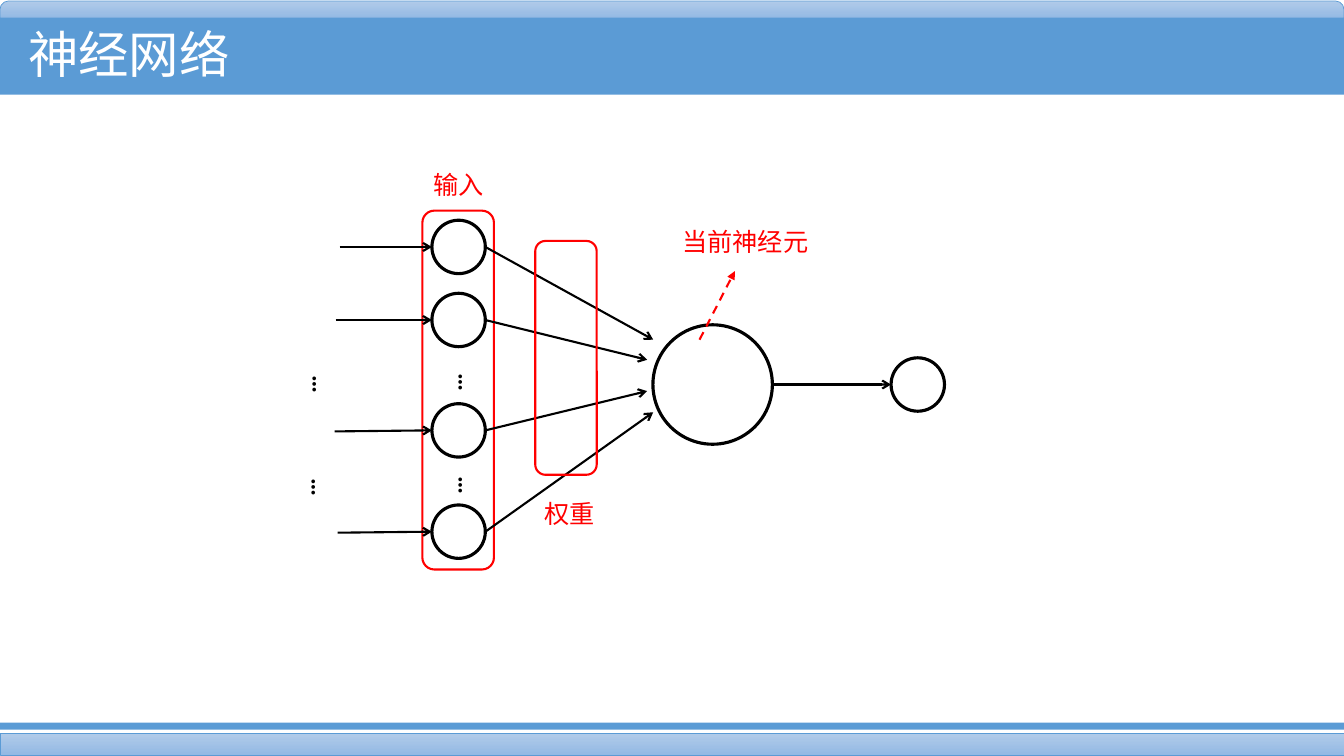
from dataclasses import dataclass

from lxml import etree
from pptx import Presentation, util as u
from pptx.dml.color import RGBColor
from pptx.enum import dml, shapes, text
from pptx.oxml.ns import qn

CELL = 0.1  # inches per grid column and row
COLS, ROWS = 133.33, 75


@dataclass(frozen=True)
class Theme:
    blue: str = "5B9BD5"
    pale_top: str = "B1CBE9"
    pale_bottom: str = "93B9E4"
    white: str = "FFFFFF"
    ink: str = "000000"
    accent: str = "FF0000"
    cjk: str = "Noto Sans CJK SC"
    latin: str = "Calibri"
    title_size: float = 36
    label_size: float = 18
    hairline: float = 0.5
    stroke: float = 1.5
    outline: float = 2.25


@dataclass(frozen=True)
class Box:
    col: float
    row: float
    cols: float
    rows: float


@dataclass(frozen=True)
class Arrow:
    start: tuple[float, float]
    end: tuple[float, float]
    dashed: bool = False


@dataclass(frozen=True)
class Label:
    words: str
    box: Box
    color: str
    font: str = Theme.cjk
    size: float = Theme.label_size
    wrap: bool = True
    vertical: bool = False


THEME = Theme()


def grid(cells: float) -> u.Length:
    return u.Inches(cells * CELL)


def rgb(code: str) -> RGBColor:
    return RGBColor.from_string(code)


def draw_shape(slide, kind, box: Box, fill: str | None = None,
               line: str | None = None, width: float = THEME.stroke):
    shape = slide.shapes.add_shape(
        kind, grid(box.col), grid(box.row), grid(box.cols), grid(box.rows))
    shape.shadow.inherit = False
    if fill:
        shape.fill.solid()
        shape.fill.fore_color.rgb = rgb(fill)
    else:
        shape.fill.background()
    if line:
        shape.line.color.rgb = rgb(line)
        shape.line.width = u.Pt(width)
    else:
        shape.line.fill.background()
    return shape


def draw_pale_band(slide, kind, box: Box):
    band = draw_shape(slide, kind, box, line=THEME.blue, width=THEME.hairline)
    band.fill.gradient()
    band.fill.gradient_angle = 270
    for stop, color in zip(band.fill.gradient_stops, (THEME.pale_top, THEME.pale_bottom)):
        stop.color.rgb = rgb(color)
    return band


def draw_neuron(slide, col: float, row: float, size: float) -> None:
    """Draw a neuron around its centre."""
    box = Box(col - size / 2, row - size / 2, size, size)
    draw_shape(slide, shapes.MSO_SHAPE.OVAL, box, THEME.white, THEME.ink, THEME.outline)


def draw_arrow(slide, arrow: Arrow) -> None:
    link = slide.shapes.add_connector(
        shapes.MSO_CONNECTOR.STRAIGHT, *map(grid, arrow.start + arrow.end))
    link.line.color.rgb = rgb(THEME.accent if arrow.dashed else THEME.ink)
    link.line.width = u.Pt(THEME.stroke)
    if arrow.dashed:
        link.line.dash_style = dml.MSO_LINE.DASH
    properties = link._element.spPr
    head = etree.SubElement(properties.find(qn("a:ln")), qn("a:tailEnd"))
    head.set("type", "triangle" if arrow.dashed else "arrow")
    etree.SubElement(properties, qn("a:effectLst"))


def draw_label(slide, label: Label) -> None:
    box = label.box
    frame = slide.shapes.add_textbox(
        grid(box.col), grid(box.row), grid(box.cols), grid(box.rows)).text_frame
    frame.word_wrap = label.wrap
    frame.auto_size = text.MSO_AUTO_SIZE.SHAPE_TO_FIT_TEXT
    if label.vertical:
        frame._txBody.bodyPr.set("vert", "eaVert")
    paragraph = frame.paragraphs[0]
    paragraph.text = label.words
    font = paragraph.font
    font.size = u.Pt(label.size)
    font.bold = label.vertical
    font.color.rgb = rgb(label.color)
    font.name = label.font
    # East Asian text takes its own typeface
    defaults = paragraph._p.pPr.find(qn("a:defRPr"))
    etree.SubElement(defaults, qn("a:ea")).set("typeface", label.font)


def draw_frame(slide) -> None:
    # Header
    lid = draw_pale_band(slide, shapes.MSO_SHAPE.ROUND_2_SAME_RECTANGLE,
                         Box(0, 0.1, COLS, 1.7))
    lid.adjustments[0] = 0.5
    draw_shape(slide, shapes.MSO_SHAPE.RECTANGLE, Box(0, 1.8, COLS, 7.6), THEME.blue)
    draw_label(slide, Label("神经网络", Box(1.8, 1.8, 22.2, 7.1), THEME.white,
                            size=THEME.title_size, wrap=False))
    # Footer
    draw_pale_band(slide, shapes.MSO_SHAPE.RECTANGLE, Box(0, 72.8, COLS, 2.1))
    draw_shape(slide, shapes.MSO_SHAPE.RECTANGLE, Box(0, 71.7, COLS, 0.7), THEME.blue)


def draw_network(slide) -> None:
    input_col, neuron_col, output_col, middle_row = 45.5, 70.7, 91.05, 38.15
    small, large = 5.3, 11.85
    input_left, input_right = input_col - small / 2, input_col + small / 2

    # Input group, behind its neurons
    draw_shape(slide, shapes.MSO_SHAPE.ROUNDED_RECTANGLE,
               Box(41.9, 20.9, 7.1, 35.6), line=THEME.accent)

    # Per input: centre row, start of the incoming arrow, end of the weighted arrow
    inputs = [
        (24.5, (33.7, 24.5), (64.8, 33.7)),
        (31.75, (33.3, 31.75), (64.2, 35.7)),
        (42.7, (33.2, 42.8), (64.2, 38.8)),
        (52.75, (33.5, 52.85), (64.8, 40.9)),
    ]
    for row, source, target in inputs:
        draw_neuron(slide, input_col, row, small)
        draw_arrow(slide, Arrow(source, (input_left, row)))
        draw_arrow(slide, Arrow((input_right, row), target))

    # Current neuron and its output
    draw_neuron(slide, neuron_col, middle_row, large)
    draw_neuron(slide, output_col, middle_row, small)
    draw_arrow(slide, Arrow((neuron_col + large / 2, middle_row),
                            (output_col - small / 2, middle_row)))
    draw_arrow(slide, Arrow((69.4, 33.7), (72.9, 26.9), dashed=True))

    # Omitted inputs
    for col, row in [(29, 36.3), (28.9, 46.5), (43.5, 36.1), (43.5, 46.3)]:
        draw_label(slide, Label("…", Box(col, row, 5, 2.8), THEME.ink,
                                font=THEME.latin, wrap=False, vertical=True))

    # Weights and captions
    draw_shape(slide, shapes.MSO_SHAPE.ROUNDED_RECTANGLE,
               Box(53.1, 23.9, 6.1, 23.2), line=THEME.accent)
    for words, box in [
        ("当前神经元", Box(66.7, 22, 19.7, 4)),
        ("输入", Box(42, 16.3, 7.1, 4)),
        ("权重", Box(53, 48.9, 7.1, 4)),
    ]:
        draw_label(slide, Label(words, box, THEME.accent))


def main() -> None:
    deck = Presentation()
    deck.slide_width, deck.slide_height = grid(COLS), grid(ROWS)
    slide = deck.slides.add_slide(deck.slide_layouts[6])
    draw_frame(slide)
    draw_network(slide)
    deck.save("out.pptx")


if __name__ == "__main__":
    main()
